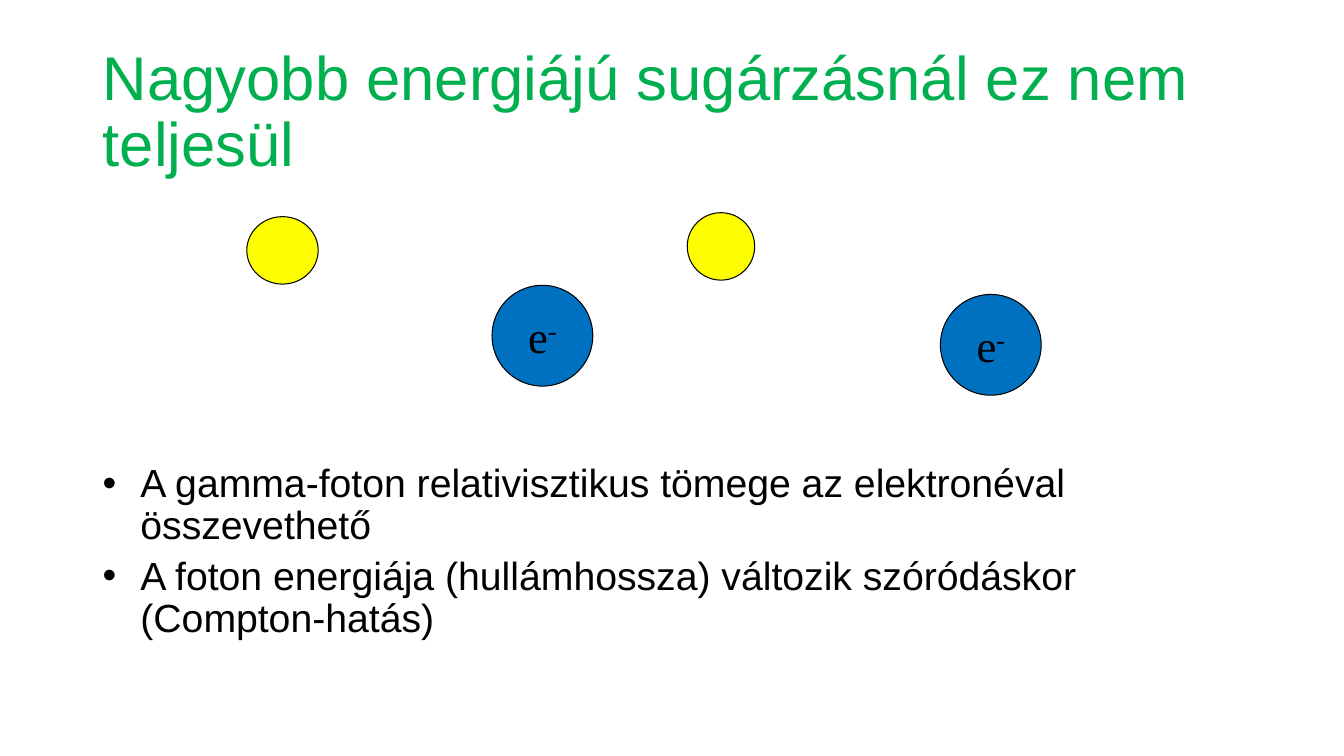
from lxml.etree import SubElement
from pptx import Presentation
from pptx.dml.color import RGBColor
from pptx.enum.shapes import MSO_SHAPE as Shape
from pptx.enum.text import MSO_ANCHOR as Anchor, MSO_AUTO_SIZE as AutoSize, PP_ALIGN as Align
from pptx.oxml.ns import qn
from pptx.util import Cm, Pt

GREEN = RGBColor(0x00, 0xB0, 0x50)
BLUE = RGBColor(0x00, 0x70, 0xC0)
YELLOW = RGBColor(0xFE, 0xFE, 0x00)
BLACK = RGBColor(0x00, 0x00, 0x00)

MARGIN, CONTENT_WIDTH = 2.34, 29.21
STATEMENTS = [
    "A gamma-foton relativisztikus tömege az elektronéval összevethető",
    "A foton energiája (hullámhossza) változik szóródáskor (Compton-hatás)",
]


def add_text(paragraph, text, size=28, font="Arial", color=BLACK, superscript=False):
    """Append a formatted run to a paragraph."""
    run = paragraph.add_run()
    run.text = text
    run.font.size = Pt(size)
    run.font.name = font
    run.font.color.rgb = color
    if superscript:
        run._r.get_or_add_rPr().set("baseline", "30000")


def add_bullet(paragraph, indent):
    """Give a paragraph a round bullet with a hanging indent."""
    properties = paragraph._p.get_or_add_pPr()
    properties.set("marL", str(Cm(indent)))
    properties.set("indent", str(-Cm(indent)))
    SubElement(properties, qn("a:buFont")).set("typeface", "Arial")
    SubElement(properties, qn("a:buChar")).set("char", "•")


def place_title(slide, left, top, width, height):
    """Move the title placeholder into its box and fill it."""
    title = slide.shapes.title
    title.left, title.top, title.width, title.height = map(Cm, (left, top, width, height))
    frame = title.text_frame
    frame.auto_size = AutoSize.NONE
    frame.word_wrap = True
    frame.vertical_anchor = Anchor.MIDDLE
    paragraph = frame.paragraphs[0]
    paragraph.alignment = Align.LEFT
    paragraph.line_spacing = 0.9
    add_text(paragraph, "Nagyobb energiájú sugárzásnál ez nem teljesül", size=44, color=GREEN)


def add_particle(slide, left, top, width, height, color):
    """Draw a filled circle with a thin outline."""
    particle = slide.shapes.add_shape(Shape.OVAL, *map(Cm, (left, top, width, height)))
    particle.shadow.inherit = False
    particle.fill.solid()
    particle.fill.fore_color.rgb = color
    particle.line.color.rgb = BLACK
    particle.line.width = Pt(0.75)
    return particle


def add_electron(slide, left, top, diameter=2.54):
    """Draw an electron with its symbol."""
    frame = add_particle(slide, left, top, diameter, diameter, BLUE).text_frame
    frame.word_wrap = False
    frame.vertical_anchor = Anchor.MIDDLE
    paragraph = frame.paragraphs[0]
    paragraph.alignment = Align.CENTER
    symbol = {"size": 32, "font": "Times New Roman"}
    add_text(paragraph, "e", **symbol)
    add_text(paragraph, "-", superscript=True, **symbol)


def place_scattering(slide, left, top):
    """Place the photons and electrons relative to the diagram's corner."""
    add_electron(slide, left + 6.18, top + 1.83)
    add_particle(slide, left, top + 0.1, 1.8, 1.7, YELLOW)
    add_particle(slide, left + 11.1, top, 1.7, 1.7, YELLOW)
    add_electron(slide, left + 17.48, top + 2.06)


def place_statements(slide, left, top, width, height):
    """Place the bulleted statements in their box."""
    frame = slide.shapes.add_textbox(*map(Cm, (left, top, width, height))).text_frame
    frame.word_wrap = True
    for index, statement in enumerate(STATEMENTS):
        paragraph = frame.add_paragraph() if index else frame.paragraphs[0]
        add_bullet(paragraph, 0.95)
        paragraph.line_spacing = 0.9
        paragraph.space_before = Pt(5.6 if index else 0)
        add_text(paragraph, statement)


def main():
    """Build and save the slide."""
    presentation = Presentation()
    presentation.slide_width, presentation.slide_height = Cm(33.87), Cm(19.05)
    slide = presentation.slides.add_slide(presentation.slide_layouts[5])
    place_title(slide, MARGIN, 1.02, CONTENT_WIDTH, 3.68)
    place_statements(slide, MARGIN, 11.56, CONTENT_WIDTH, 5.6)
    place_scattering(slide, 6.22, 5.36)
    presentation.save("out.pptx")


if __name__ == "__main__":
    main()
